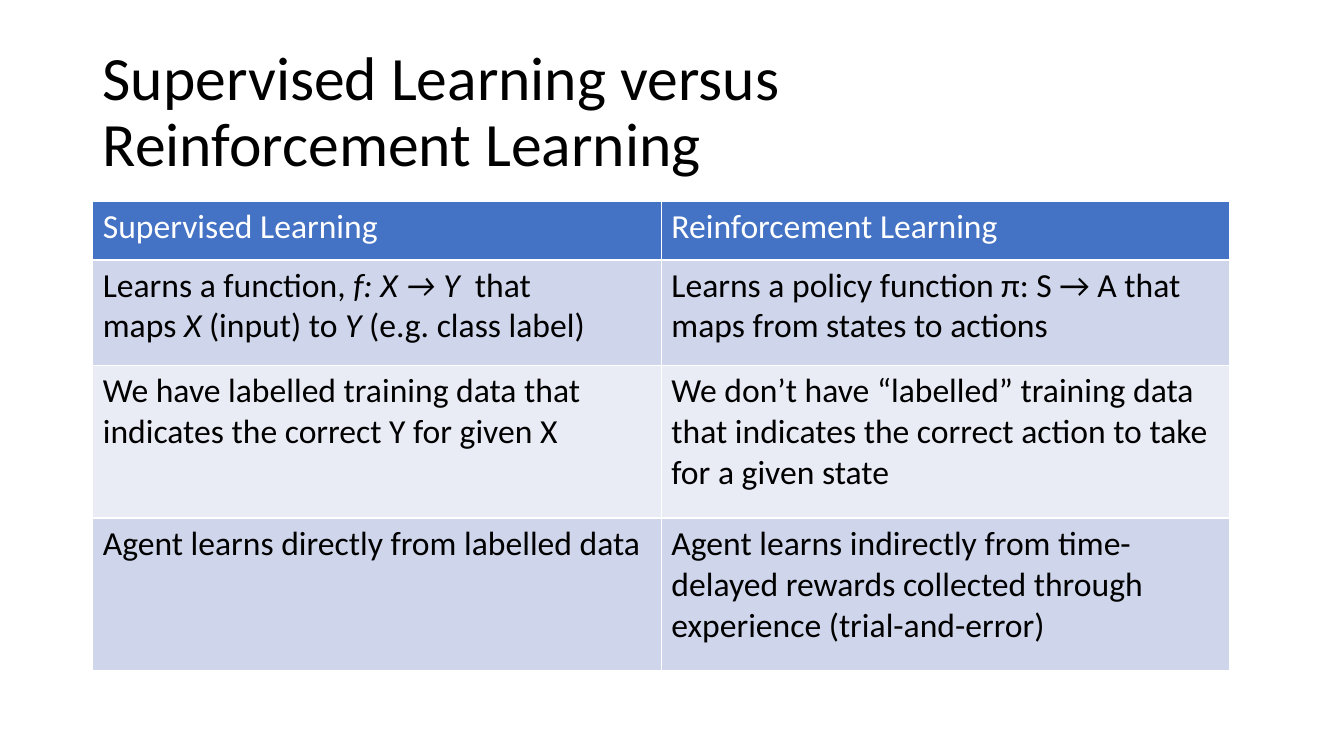
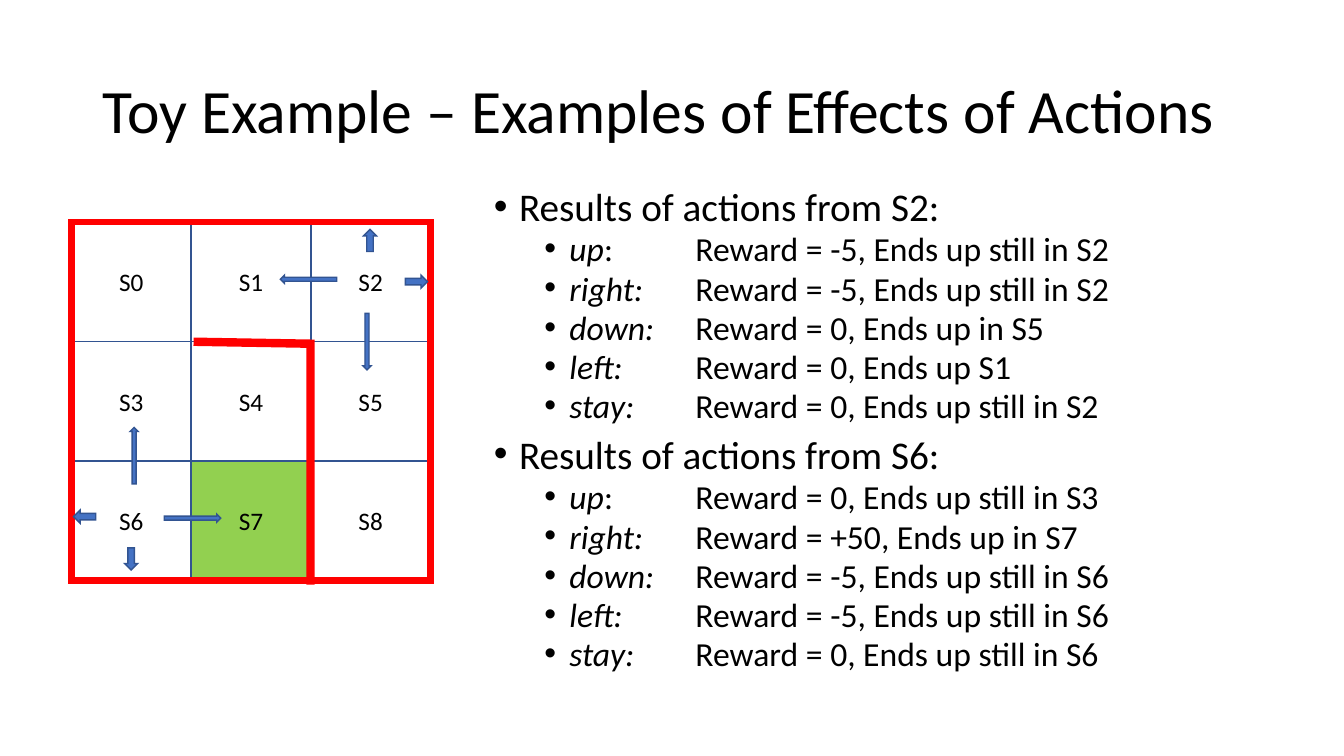
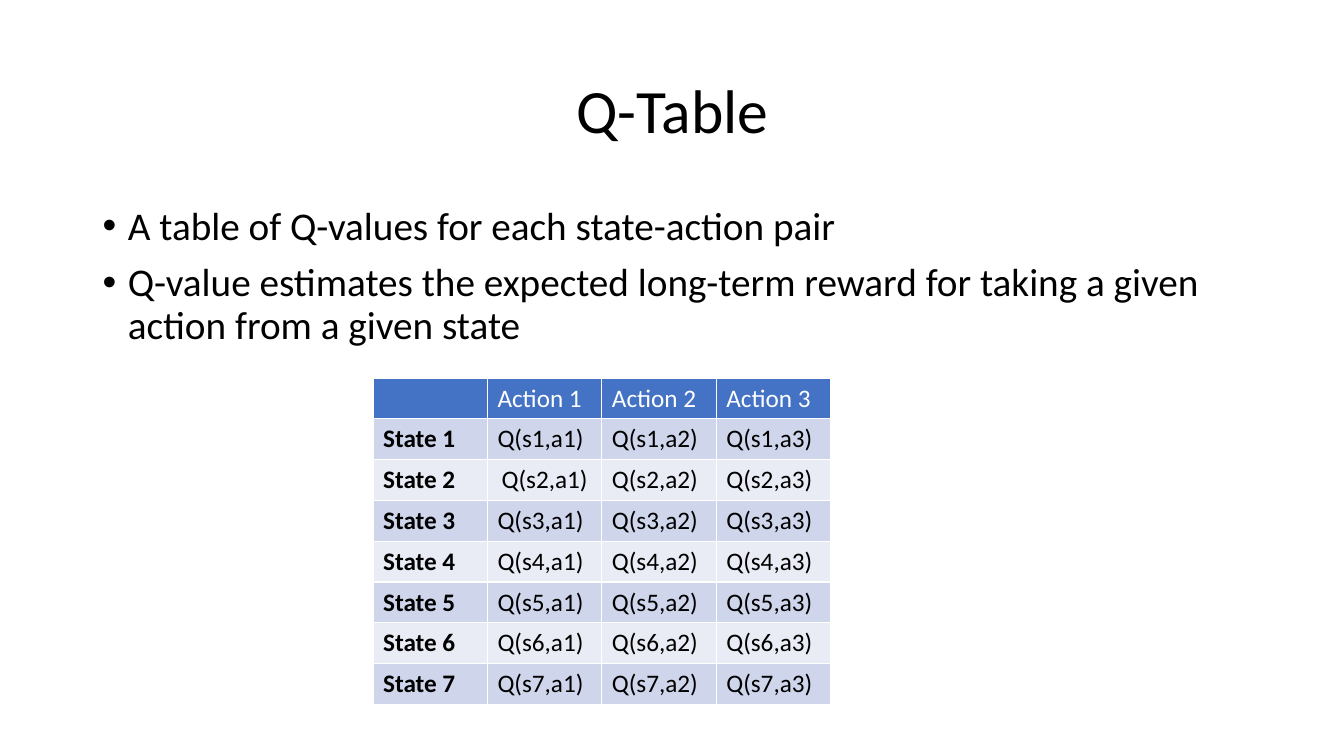
from typing import NamedTuple

import lxml.etree
import pptx
import pptx.dml.color
import pptx.enum.shapes
import pptx.enum.text
import pptx.oxml.ns
import pptx.util
from pptx.util import Inches

FONT = "Calibri"
COLORS = {
    "text": "000000",
    "light": "FFFFFF",
    "accent": "4472C4",
    "outline": "325491",
    "band_dark": "CFD5EA",
    "band_light": "E9EBF5",
    "goal": "92D050",
    "wall": "FF0000",
}
ALIGN = pptx.enum.text.PP_ALIGN
MIDDLE = pptx.enum.text.MSO_ANCHOR.MIDDLE
SHAPE = pptx.enum.shapes.MSO_SHAPE
NBSP = chr(160)


class Box(NamedTuple):
    left: float
    top: float
    width: float
    height: float


class Bullet(NamedTuple):
    text: str
    level: int = 0


class Level(NamedTuple):
    indent: float
    size: int
    before: int


class Arrow(NamedTuple):
    box: Box
    rotation: int = 0


TITLE_BOX = Box(0.92, 0.4, 11.5, 1.45)
LEVELS = (Level(0.25, 28, 10), Level(0.75, 24, 5))
GRID_LEFT, GRID_TOP, GRID_SIDE, GRID_COUNT = 0.71, 2.2, 3.56, 3
GOAL_STATE = 7

COMPARISON = [
    ["Supervised Learning", "Reinforcement Learning"],
    [
        f"Learns a function, *f: X → Y*{NBSP} that maps{NBSP}*X*{NBSP}(input) to{NBSP}"
        f"*Y*{NBSP}(e.g. class label)",
        "Learns a policy function π: S → A that maps from states to actions",
    ],
    [
        "We have labelled training data that indicates the correct Y for given X",
        "We don’t have “labelled” training data that indicates the correct action to take "
        "for a given state",
    ],
    [
        "Agent learns directly from labelled data",
        "Agent learns indirectly from time-delayed rewards collected through experience "
        "(trial-and-error)",
    ],
]
ACTION_RESULTS = [
    Bullet("Results of actions from S2:"),
    Bullet("*up*: \tReward = -5, Ends up still in S2", 1),
    Bullet("*right:* \tReward = -5, Ends up still in S2", 1),
    Bullet("*down:*\tReward = 0, Ends up in S5", 1),
    Bullet("*left:*\tReward = 0, Ends up S1", 1),
    Bullet("*stay:*\tReward = 0, Ends up still in S2", 1),
    Bullet("Results of actions from S6:"),
    Bullet("*up*: \tReward = 0, Ends up still in S3", 1),
    Bullet("*right:* \tReward = +50, Ends up in S7", 1),
    Bullet("*down:*\tReward = -5, Ends up still in S6", 1),
    Bullet("*left:*\tReward = -5, Ends up still in S6", 1),
    Bullet("*stay:*\tReward = 0, Ends up still in S6", 1),
]
Q_BULLETS = [
    Bullet("A table of Q-values for each state-action pair"),
    Bullet(
        "Q-value estimates the expected long-term reward for taking a given action "
        "from a given state"
    ),
]
S2_ARROWS = [
    Arrow(Box(4.02, 2.73, 0.22, 0.13)),
    Arrow(Box(3.56, 2.32, 0.22, 0.13), 270),
    Arrow(Box(3.36, 3.35, 0.56, 0.08), 90),
    Arrow(Box(2.78, 2.73, 0.56, 0.08), 180),
]
S6_ARROWS = [
    Arrow(Box(0.73, 5.06, 0.22, 0.13), 180),
    Arrow(Box(1.19, 5.48, 0.22, 0.13), 90),
    Arrow(Box(1.05, 4.48, 0.56, 0.08), 270),
    Arrow(Box(1.63, 5.1, 0.56, 0.08)),
]


def rgb(name: str) -> pptx.dml.color.RGBColor:
    return pptx.dml.color.RGBColor.from_string(COLORS[name])


def format_run(r, size: int, color: str = "text", bold: bool = False, italic: bool = False) -> None:
    r.font.name = FONT
    r.font.size = pptx.util.Pt(size)
    r.font.bold = bold
    r.font.italic = italic
    r.font.color.rgb = rgb(color)


def write_runs(p, text: str, size: int, color: str = "text", bold: bool = False) -> None:
    for i, part in enumerate(text.split("*")):
        if part:
            r = p.add_run()
            r.text = part
            format_run(r, size, color, bold, italic=i % 2 == 1)


def add_text_frame(slide, box: Box):
    tf = slide.shapes.add_textbox(*map(Inches, box)).text_frame
    tf.word_wrap = True
    return tf


def add_title(slide, text: str, align=ALIGN.LEFT) -> None:
    tf = add_text_frame(slide, TITLE_BOX)
    tf.vertical_anchor = MIDDLE
    tf.text = text
    p = tf.paragraphs[0]
    p.alignment = align
    p.line_spacing = 0.9
    for r in p.runs:
        format_run(r, 44)


def add_bullets(slide, box: Box, bullets: list[Bullet], spacing: float) -> None:
    tf = add_text_frame(slide, box)
    for i, bullet in enumerate(bullets):
        p = tf.add_paragraph() if i else tf.paragraphs[0]
        level = LEVELS[bullet.level]
        p.level = bullet.level
        pPr = p._p.get_or_add_pPr()
        pPr.set("marL", str(Inches(level.indent)))
        pPr.set("indent", str(Inches(-0.25)))
        pPr.set("defTabSz", str(Inches(1)))
        font = lxml.etree.SubElement(pPr, pptx.oxml.ns.qn("a:buFont"))
        font.set("typeface", "Arial")
        char = lxml.etree.SubElement(pPr, pptx.oxml.ns.qn("a:buChar"))
        char.set("char", "•")
        p.line_spacing = spacing
        if i:
            p.space_before = pptx.util.Pt(level.before)
        write_runs(p, bullet.text, level.size)


def add_table(slide, box: Box, rows: list[list[str]], heights: list[float], size: int,
              bold_first: bool = False):
    frame = slide.shapes.add_table(len(rows), len(rows[0]), *map(Inches, box))
    table = frame.table
    for i, (texts, height) in enumerate(zip(rows, heights)):
        table.rows[i].height = Inches(height)
        fill = "accent" if i == 0 else ("band_light", "band_dark")[i % 2]
        for j, text in enumerate(texts):
            cell = table.cell(i, j)
            cell.fill.solid()
            cell.fill.fore_color.rgb = rgb(fill)
            write_runs(cell.text_frame.paragraphs[0], text, size,
                       "text" if i else "light", bold_first and i > 0 and j == 0)
    return table


def add_shape(shapes, kind, box: Box, fill: str = "", line: str = "outline", width: float = 1):
    sp = shapes.add_shape(kind, *map(Inches, box))
    style_shape(sp, fill, line, width)
    return sp


def style_shape(sp, fill: str, line: str, width: float) -> None:
    sp.shadow.inherit = False
    if fill:
        sp.fill.solid()
        sp.fill.fore_color.rgb = rgb(fill)
    else:
        sp.fill.background()
    sp.line.color.rgb = rgb(line)
    sp.line.width = pptx.util.Pt(width)
    ln = sp._element.spPr.find(pptx.oxml.ns.qn("a:ln"))
    miter = lxml.etree.SubElement(ln, pptx.oxml.ns.qn("a:miter"))
    miter.set("lim", "800000")


def add_arrows(slide, arrows: list[Arrow]) -> None:
    group = slide.shapes.add_group_shape()
    for arrow in arrows:
        sp = add_shape(group.shapes, SHAPE.RIGHT_ARROW, arrow.box, "accent")
        sp.rotation = arrow.rotation


def add_grid(slide) -> None:
    side = GRID_SIDE / GRID_COUNT
    for state in range(GRID_COUNT ** 2):
        row, col = divmod(state, GRID_COUNT)
        box = Box(GRID_LEFT + col * side, GRID_TOP + row * side, side, side)
        sp = add_shape(slide.shapes, SHAPE.RECTANGLE, box, "goal" if state == GOAL_STATE else "")
        tf = sp.text_frame
        tf.vertical_anchor = MIDDLE
        tf.text = f"S{state}"
        p = tf.paragraphs[0]
        p.alignment = ALIGN.CENTER
        format_run(p.runs[0], 18)

    builder = slide.shapes.build_freeform(Inches(1.92), Inches(3.39))
    corners = [(3.08, 3.41), (3.08, 5.8)]
    builder.add_line_segments([(Inches(x), Inches(y)) for x, y in corners], close=False)
    style_shape(builder.convert_to_shape(), "", "wall", 6)
    border = Box(GRID_LEFT, GRID_TOP, GRID_SIDE, GRID_SIDE)
    add_shape(slide.shapes, SHAPE.RECTANGLE, border, line="wall", width=4.5)


def build_comparison(slide) -> None:
    add_title(slide, "Supervised Learning versus \vReinforcement Learning")
    add_table(slide, Box(0.92, 2, 11.28, 4.65), COMPARISON, [0.58, 1.05, 1.51, 1.51], 24)


def build_toy_example(slide) -> None:
    add_title(slide, "Toy Example – Examples of Effects of Actions")
    add_bullets(slide, Box(4.8, 1.85, 8.27, 5.23), ACTION_RESULTS, 0.8)
    add_grid(slide)
    add_arrows(slide, S2_ARROWS)
    add_arrows(slide, S6_ARROWS)


def build_q_table(slide) -> None:
    add_title(slide, "Q-Table", ALIGN.CENTER)
    add_bullets(slide, Box(0.92, 2, 11.5, 4.76), Q_BULLETS, 0.9)
    actions = range(1, 4)
    rows = [[""] + [f"Action {a}" for a in actions]]
    rows += [[f"State {s}"] + [f"Q(s{s},a{a})" for a in actions] for s in range(1, 8)]
    table = add_table(slide, Box(3.7, 3.75, 4.54, 3.24), rows, [3.24 / len(rows)] * len(rows), 18,
                      bold_first=True)
    table.cell(2, 1).text_frame.paragraphs[0].alignment = ALIGN.CENTER


def main() -> None:
    prs = pptx.Presentation()
    prs.slide_width = Inches(13.33)
    prs.slide_height = Inches(7.5)
    for build in (build_comparison, build_toy_example, build_q_table):
        build(prs.slides.add_slide(prs.slide_layouts[6]))
    prs.save("out.pptx")


if __name__ == "__main__":
    main()
